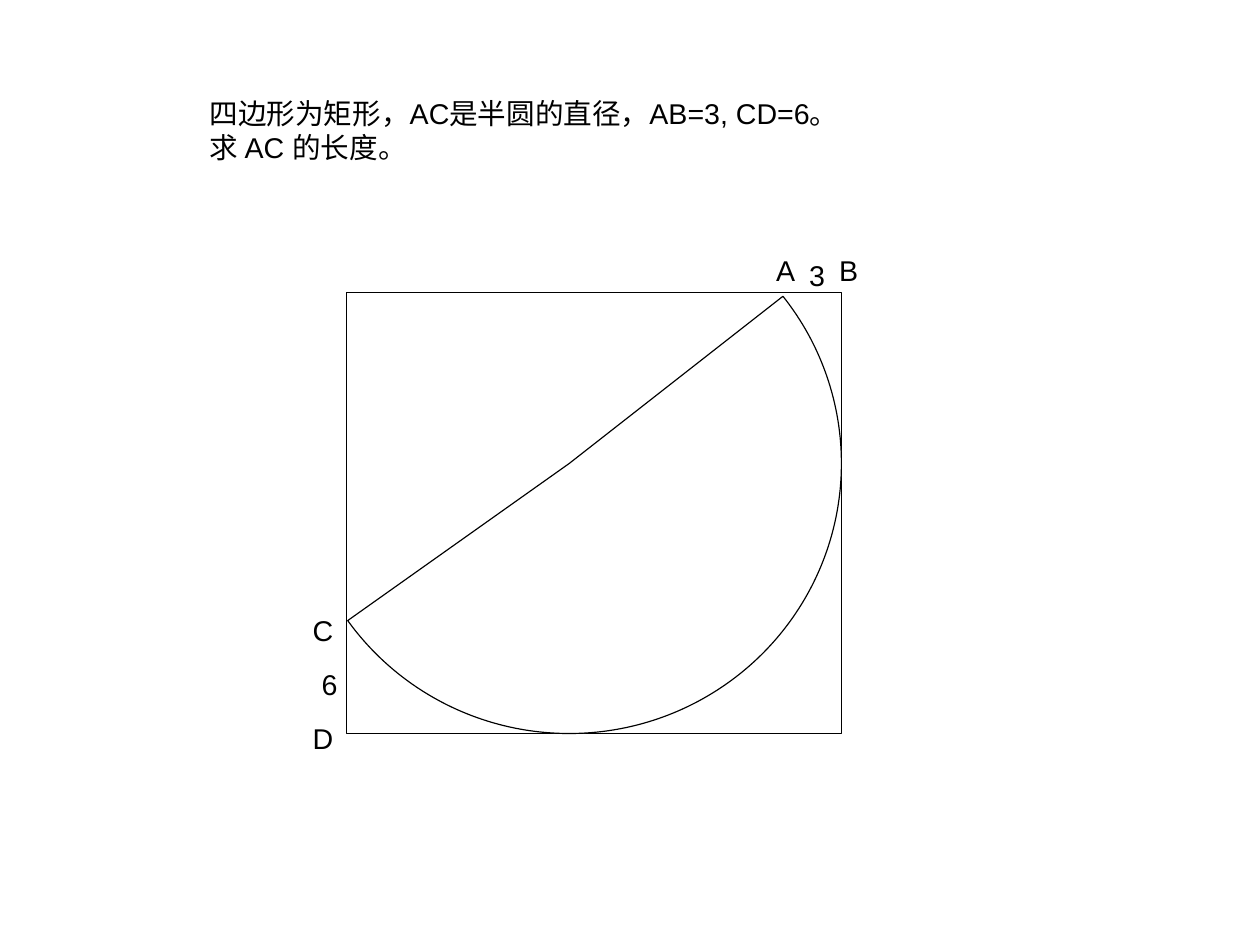
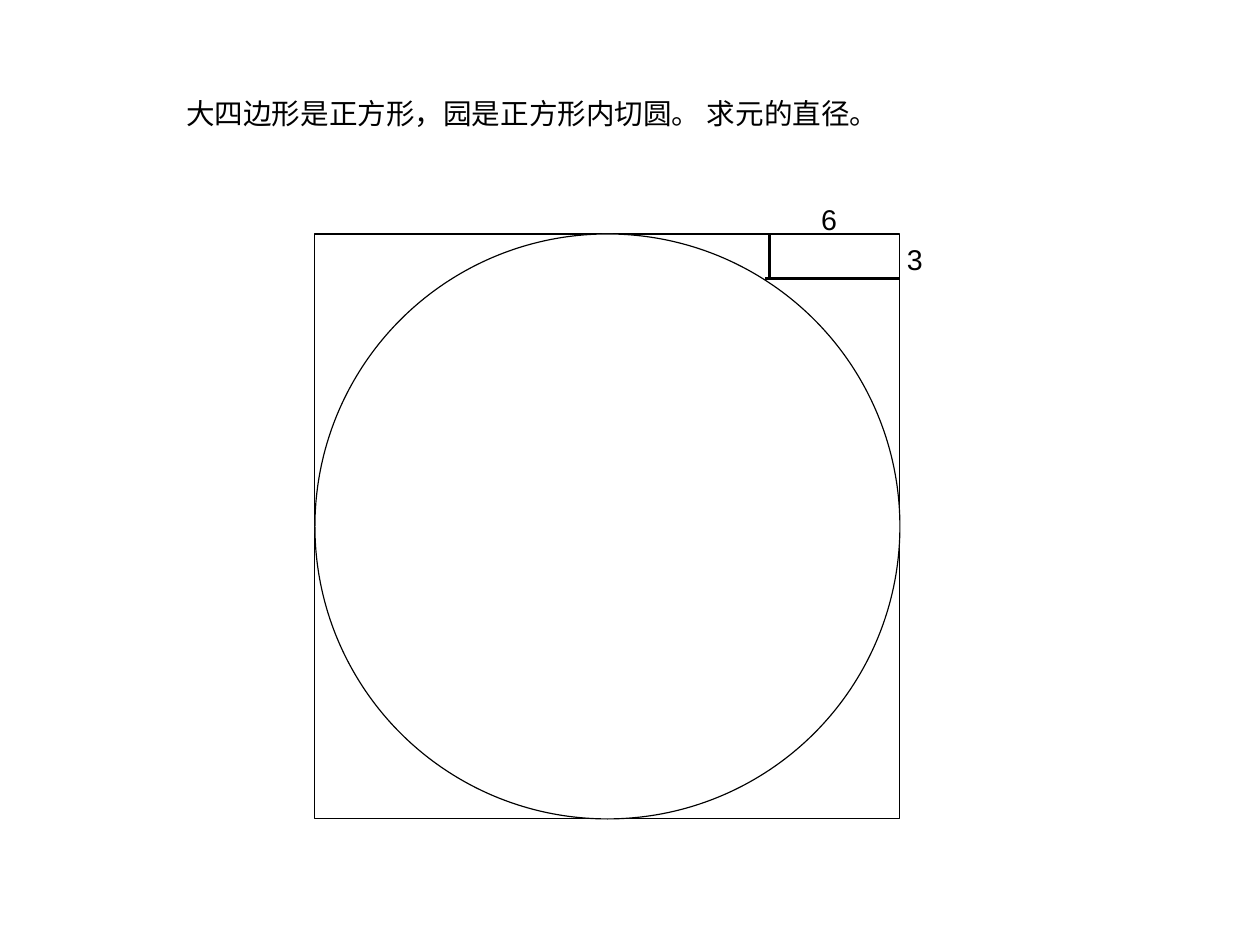
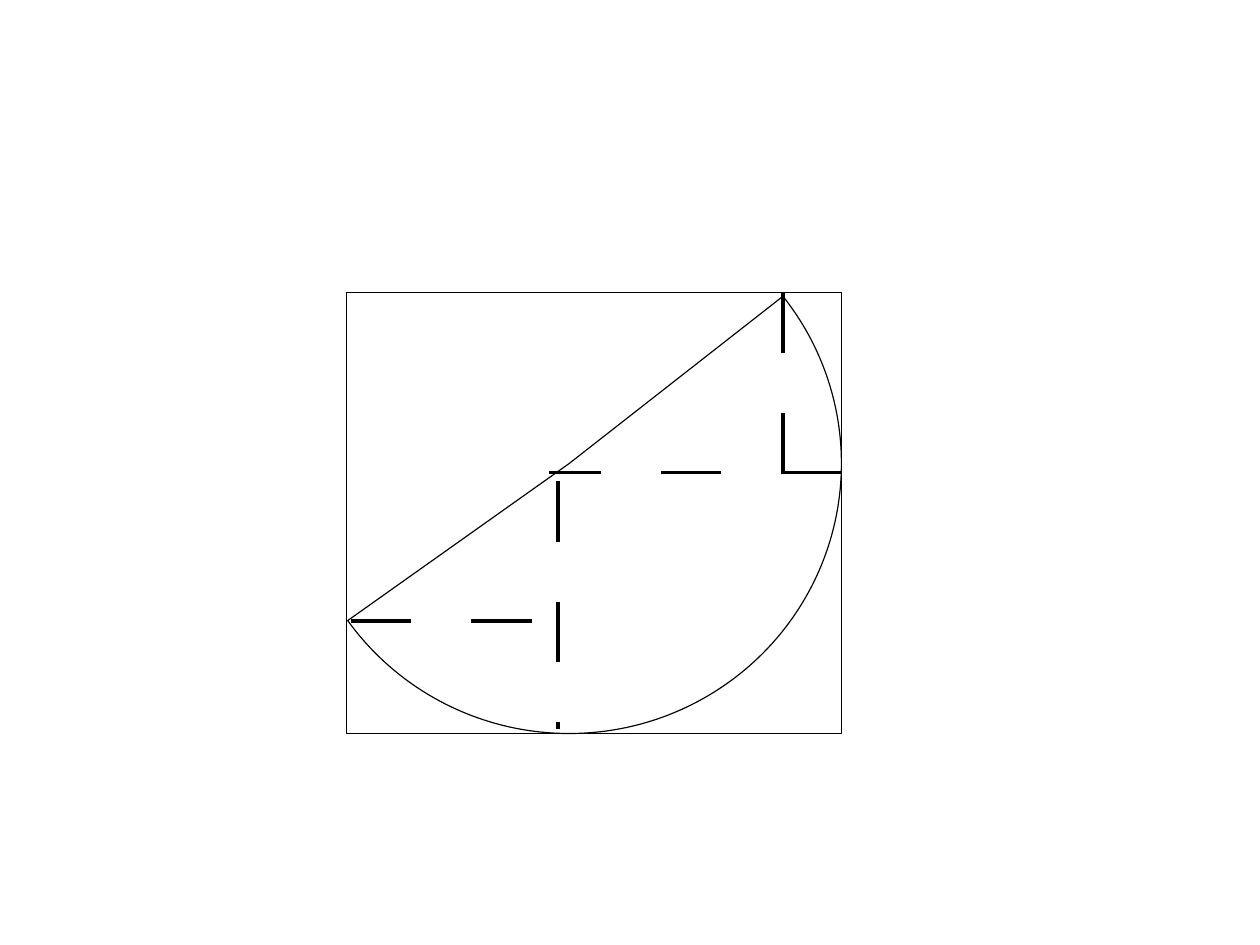
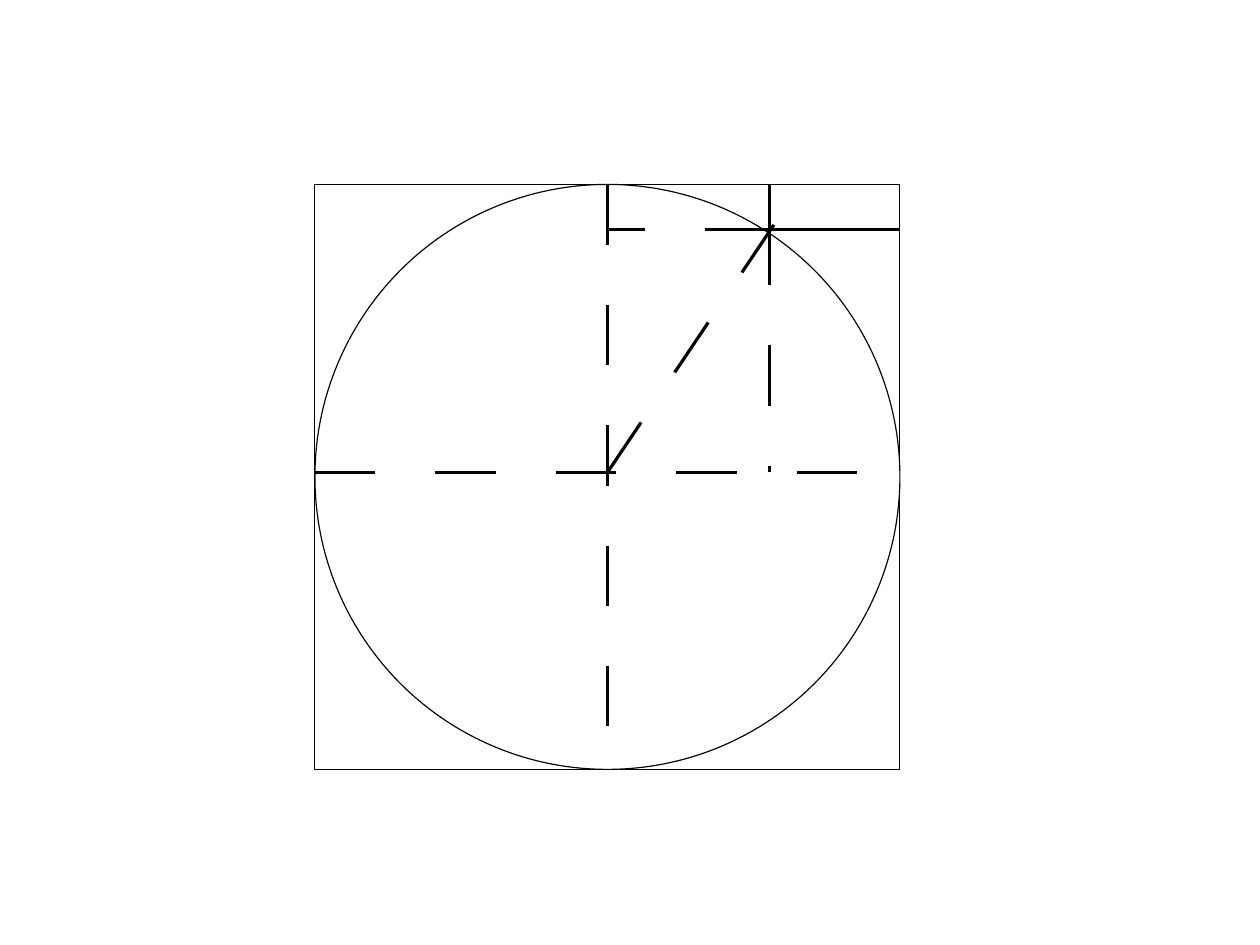
from lxml.etree import SubElement
from pptx import Presentation
from pptx.dml.color import RGBColor
from pptx.enum.shapes import MSO_CONNECTOR, MSO_SHAPE
from pptx.enum.text import MSO_AUTO_SIZE
from pptx.oxml.ns import qn
from pptx.util import Pt

BLACK = RGBColor(0, 0, 0)
WHITE = RGBColor(255, 255, 255)
FONT = "Arial"
DASH = "1885000"  # dash and gap, in thousandths of a percent of the hairline

# Rectangle with the half circle
RECT_LEFT, RECT_TOP, RECT_WIDTH, RECT_HEIGHT = 218.3, 184.3, 311.8, 277.8
RECT_RIGHT = RECT_LEFT + RECT_WIDTH

# Square with the inscribed circle
SIDE = 368.5
SQUARE_LEFT = 198.4
SQUARE_RIGHT = SQUARE_LEFT + SIDE
CENTER_X = SQUARE_LEFT + SIDE / 2
CORNER_X = 484.7
CORNER_HEIGHT = 28.3
OVERSHOOT = 2.8
CENTER_Y = 297.6


class Drawing:
    """Holds the hairline style and the current slide."""

    def __init__(self):
        self.presentation = Presentation()
        self.presentation.slide_width = Pt(793.7)
        self.presentation.slide_height = Pt(595.3)
        self.slide = None

    def new_slide(self):
        self.slide = self.presentation.slides.add_slide(
            self.presentation.slide_layouts[6])

    def hairline(self, line):
        line.color.rgb = BLACK
        line.width = Pt(0)

    def figure(self, kind, left, top, width, height, adjustments=()):
        shape = self.slide.shapes.add_shape(
            kind, Pt(left), Pt(top), Pt(width), Pt(height))
        for index, value in enumerate(adjustments):
            shape.adjustments[index] = value
        shape.shadow.inherit = False
        shape.fill.solid()
        shape.fill.fore_color.rgb = WHITE
        self.hairline(shape.line)
        return shape

    def line(self, x1, y1, x2, y2, dashed=False):
        connector = self.slide.shapes.add_connector(
            MSO_CONNECTOR.STRAIGHT, Pt(x1), Pt(y1), Pt(x2), Pt(y2))
        self.hairline(connector.line)
        if dashed:
            dash = SubElement(connector.line._get_or_add_ln(), qn("a:custDash"))
            SubElement(dash, qn("a:ds"), d=DASH, sp=DASH)
        SubElement(connector._element.spPr, qn("a:effectLst"))
        return connector

    def text(self, left, top, width, *lines):
        box = self.slide.shapes.add_textbox(
            Pt(left), Pt(top), Pt(width), Pt(27.4 * len(lines)))
        frame = box.text_frame
        frame.word_wrap = False
        frame.auto_size = MSO_AUTO_SIZE.SHAPE_TO_FIT_TEXT
        frame.text = "\n".join(lines)
        for paragraph in frame.paragraphs:
            paragraph.font.name = FONT
            paragraph.font.size = Pt(18)
            paragraph.font.color.rgb = BLACK

    def half_circle(self):
        self.figure(MSO_SHAPE.RECTANGLE,
                    RECT_LEFT, RECT_TOP, RECT_WIDTH, RECT_HEIGHT)
        self.figure(MSO_SHAPE.PIE, 187.1, 121.9, 343, 340.2,
                    (193.18, 86.79))

    def inscribed_circle(self, top):
        square = self.figure(MSO_SHAPE.RECTANGLE, SQUARE_LEFT, top, SIDE, SIDE)
        self.figure(MSO_SHAPE.OVAL, SQUARE_LEFT, top, SIDE, SIDE)
        corner_y = top + CORNER_HEIGHT
        self.line(CORNER_X, top, CORNER_X, corner_y)
        self.line(CORNER_X - OVERSHOOT, corner_y, SQUARE_RIGHT, corner_y)
        return square


def main():
    drawing = Drawing()

    # Problem 1: half circle in a rectangle
    drawing.new_slide()
    drawing.half_circle()
    for text, left, top, width in (
            ("A", 481.9, 156, 25.9), ("B", 521.6, 156, 25.9),
            ("C", 189.9, 382.7, 27.1), ("D", 189.9, 450.7, 27.1),
            ("3", 502.6, 158.7, 24.2), ("6", 195.6, 416.7, 24.2)):
        drawing.text(left, top, width, text)
    drawing.text(125, 56.7, 428.4,
                 "四边形为矩形，AC是半圆的直径，AB=3, CD=6。",
                 "求 AC 的长度。")

    # Problem 2: circle in a square
    drawing.new_slide()
    drawing.inscribed_circle(147.4)
    drawing.text(510.2, 123.9, 24.2, "6")
    drawing.text(564.2, 149, 24.2, "3")
    drawing.text(110.2, 56.7, 450,
                 "大四边形是正方形，园是正方形内切圆。 求元的直径。")

    # Solution 1: helper lines from the centre and the chord ends
    drawing.new_slide()
    drawing.half_circle()
    for ends in ((RECT_RIGHT, CENTER_Y, 345.8, CENTER_Y),
                 (351.5, 303.3, 351.5, 459.2),
                 (221.1, 391.2, 348.7, 391.2),
                 (493.2, RECT_TOP, 493.2, CENTER_Y)):
        drawing.line(*ends, dashed=True)

    # Solution 2: axes, radius and its projections
    drawing.new_slide()
    top = 116.2
    corner_y = top + CORNER_HEIGHT
    square = drawing.inscribed_circle(top)
    axis = drawing.line(CENTER_X, top, CENTER_X, top + SIDE, dashed=True)
    axis.begin_connect(square, 0)
    axis.end_connect(square, 2)
    radius_top = corner_y - OVERSHOOT
    for ends in ((CORNER_X - OVERSHOOT, corner_y, CENTER_X, corner_y),
                 (SQUARE_LEFT, CENTER_Y, SQUARE_RIGHT, CENTER_Y),
                 (CENTER_X, CENTER_Y, CORNER_X + OVERSHOOT, radius_top),
                 (CORNER_X, radius_top, CORNER_X, CENTER_Y)):
        drawing.line(*ends, dashed=True)

    drawing.presentation.save("out.pptx")


if __name__ == "__main__":
    main()
